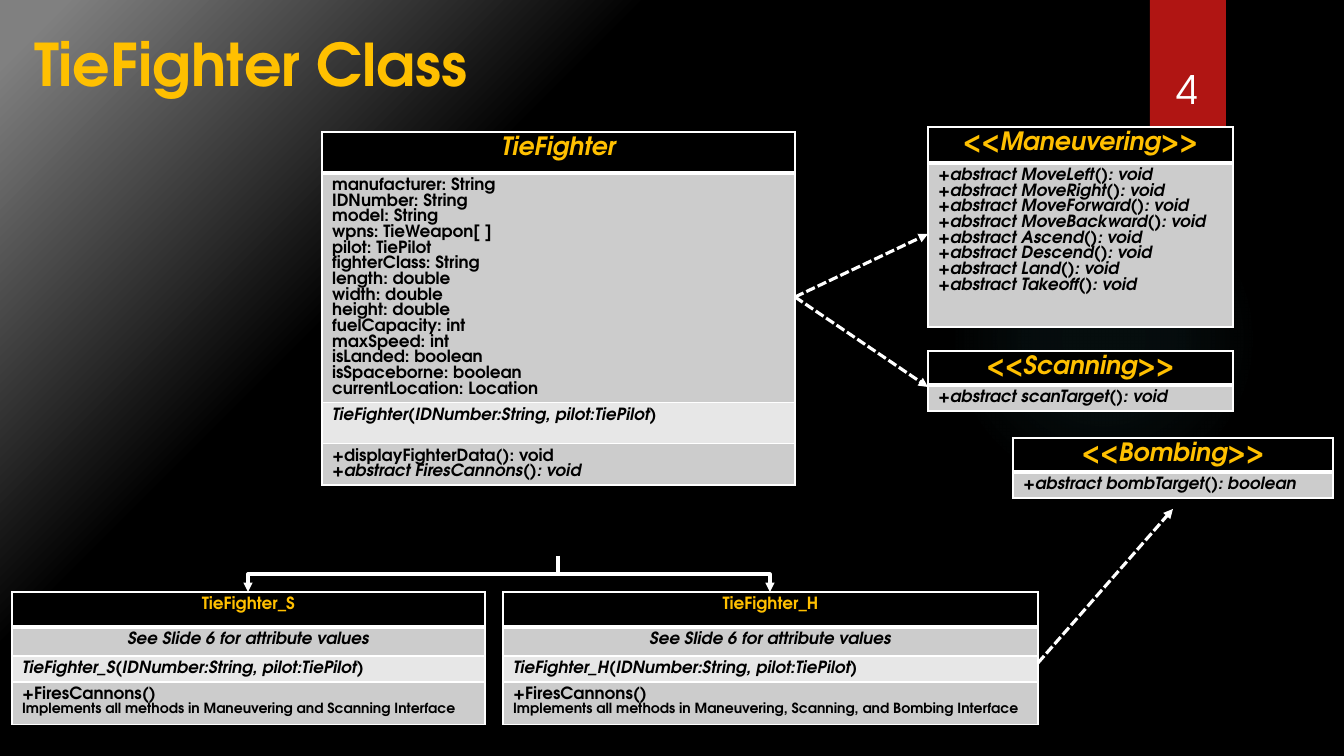
"""Build the TieFighter class diagram slide."""
import pptx
import pptx.dml.color
import pptx.enum.dml
import pptx.enum.shapes
import pptx.enum.text
import pptx.oxml
import pptx.oxml.ns
import pptx.util

PX = 12192000 / 1344
FONT = "TeX Gyre Adventor"
LINE_RATIO = 0.933
BLACK = pptx.dml.color.RGBColor(0x00, 0x00, 0x00)
WHITE = pptx.dml.color.RGBColor(0xFF, 0xFF, 0xFF)
GOLD = pptx.dml.color.RGBColor(0xFF, 0xC0, 0x00)
RED = pptx.dml.color.RGBColor(0xB0, 0x15, 0x13)
GREY = pptx.dml.color.RGBColor(0x80, 0x80, 0x80)
TEAL = pptx.dml.color.RGBColor(0x50, 0xB9, 0xC1)
DARK_BAND = pptx.dml.color.RGBColor(0xCC, 0xCC, 0xCC)
LIGHT_BAND = pptx.dml.color.RGBColor(0xE7, 0xE7, 0xE7)
ALIGN = pptx.enum.text.PP_ALIGN
ANCHOR = pptx.enum.text.MSO_ANCHOR
SHAPE = pptx.enum.shapes.MSO_SHAPE
CONNECTOR = pptx.enum.shapes.MSO_CONNECTOR
NAMESPACE = pptx.oxml.ns.nsdecls("a")


def px(*lengths):
    return [round(length * PX) for length in lengths]


def set_gradient(solid_fill, stops, left, top, right, bottom):
    stop_xml = "".join(
        f'<a:gs pos="{position * 1000}"><a:srgbClr val="{color}">'
        f'<a:alpha val="{alpha * 1000}"/></a:srgbClr></a:gs>'
        for position, color, alpha in stops)
    gradient = pptx.oxml.parse_xml(
        f'<a:gradFill {NAMESPACE} rotWithShape="1"><a:gsLst>{stop_xml}</a:gsLst>'
        f'<a:path path="circle"><a:fillToRect l="{left}" t="{top}" r="{right}" '
        f'b="{bottom}"/></a:path></a:gradFill>')
    solid_fill.getparent().replace(solid_fill, gradient)


presentation = pptx.Presentation()
presentation.slide_width, presentation.slide_height = px(1344, 756)
slide = presentation.slides.add_slide(presentation.slide_layouts[5])
shapes = slide.shapes

slide.background.fill.solid()
set_gradient(slide.element.xpath(".//p:bgPr/a:solidFill")[0],
             [(0, BLACK, 100), (23, BLACK, 100), (69, BLACK, 100), (97, GREY, 100)],
             100000, 100000, 0, 0)

glow = shapes.add_shape(SHAPE.OVAL, *px(949, 184, 310, 310))
ribbon = shapes.add_shape(SHAPE.RECTANGLE, *px(1150, 0, 76, 126))
for shape, color in ((glow, TEAL), (ribbon, RED)):
    shape.shadow.inherit = False
    shape.line.fill.background()
    shape.fill.solid()
    shape.fill.fore_color.rgb = color
set_gradient(glow.element.spPr.xpath("./a:solidFill")[0],
             [(0, TEAL, 7), (36, TEAL, 6), (69, TEAL, 0)], 50000, 50000, 50000, 50000)

title = shapes.title
title.left, title.top, title.width, title.height = px(24, 23, 484, 80)
number = shapes.add_textbox(*px(1141, 32, 93, 85))
for shape, text, size, color, bold, align, anchor in (
        (title, "TieFighter Class", 42, GOLD, True, ALIGN.LEFT, ANCHOR.MIDDLE),
        (number, "4", 28, WHITE, False, ALIGN.CENTER, ANCHOR.BOTTOM)):
    frame = shape.text_frame
    frame.text = text
    frame.word_wrap = True
    frame.auto_size = pptx.enum.text.MSO_AUTO_SIZE.NONE
    frame.vertical_anchor = anchor
    paragraph = frame.paragraphs[0]
    paragraph.alignment = align
    font = paragraph.runs[0].font
    font.name, font.size, font.bold = FONT, pptx.util.Pt(size), bold
    font.color.rgb = color

attributes = [
    "manufacturer: String", "IDNumber: String", "model: String", "wpns: TieWeapon[ ]",
    "pilot: TiePilot", "fighterClass: String", "length: double", "width: double",
    "height: double", "fuelCapacity: int", "maxSpeed: int", "isLanded: boolean",
    "isSpaceborne: boolean", "currentLocation: Location"]
moves = ["MoveLeft", "MoveRight", "MoveForward", "MoveBackward",
         "Ascend", "Descend", "Land", "Takeoff"]

class_boxes = [
    (322, 132, 473, [
        (41, True, [("TieFighter", 18, True)]),
        (229, False, [(attribute, 12, False) for attribute in attributes]),
        (41, False, [("TieFighter(IDNumber:String, pilot:TiePilot)", 12, True)]),
        (41, False, [("+displayFighterData(): void", 12, False),
                     ("+abstract FiresCannons(): void", 12, True)])])]
for name, left, width, interfaces in (
        ("TieFighter_S", 12, 473, "Maneuvering and Scanning Interface"),
        ("TieFighter_H", 503, 535, "Maneuvering, Scanning, and Bombing Interface")):
    class_boxes.append((left, 592, width, [
        (35, True, [(name, 12, False)]),
        (29, True, [("See Slide 6 for attribute values", 12, True)]),
        (26, False, [(f"{name}(IDNumber:String, pilot:TiePilot)", 12, True)]),
        (43, False, [("+FiresCannons()", 12, False),
                     (f"Implements all methods in {interfaces}", 10, False)])]))
for name, left, top, width, heights, methods in (
        ("Maneuvering", 928, 127, 305, (36, 164), [f"{move}(): void" for move in moves]),
        ("Scanning", 928, 351, 305, (34, 26), ["scanTarget(): void"]),
        ("Bombing", 1013, 438, 320, (34, 26), ["bombTarget(): boolean"])):
    class_boxes.append((left, top, width, [
        (heights[0], True, [(f"<<{name}>>", 18, True)]),
        (heights[1], False, [(f"+abstract {method}", 12, True) for method in methods])]))

for left, top, width, rows in class_boxes:
    table_height = sum(row[0] for row in rows)
    table = shapes.add_table(len(rows), 1, *px(left, top, width, table_height)).table
    table.horz_banding = False
    for index, (height, centered, lines) in enumerate(rows):
        table.rows[index].height = px(height)[0]
        cell = table.cell(index, 0)
        cell_properties = cell._tc.get_or_add_tcPr()
        for side in "LRTB":
            thick = (index, side) in ((0, "B"), (1, "T"))
            cell_properties.append(pptx.oxml.parse_xml(
                f'<a:ln{side} {NAMESPACE} w="{38100 if thick else 12700}"><a:solidFill>'
                f'<a:srgbClr val="{WHITE}"/></a:solidFill></a:ln{side}>'))
        cell.fill.solid()
        cell.fill.fore_color.rgb = (BLACK, DARK_BAND, LIGHT_BAND, DARK_BAND)[index]
        cell.text_frame.text = "\n".join(line[0] for line in lines)
        for paragraph, (text, size, italic) in zip(cell.text_frame.paragraphs, lines):
            paragraph.alignment = ALIGN.CENTER if centered else ALIGN.LEFT
            paragraph.line_spacing = pptx.util.Pt(round(size * LINE_RATIO, 1))
            font = paragraph.runs[0].font
            font.name, font.size = FONT, pptx.util.Pt(size)
            font.bold, font.italic = True, italic
            font.color.rgb = BLACK if index else GOLD

arrows = []
for target_x, rotation in ((248, 90), (770, 270)):
    span, drop = abs(target_x - 558), 36
    left = (558 + target_x - drop) / 2
    top = 574 - span / 2
    begin_x, end_x = (left, left + drop) if rotation == 90 else (left + drop, left)
    arrow = shapes.add_connector(CONNECTOR.ELBOW, *px(begin_x, top, end_x, top + span))
    arrow.element.spPr.xfrm.set("rot", str(rotation * 60000))
    arrows.append((arrow, False))
for ends in ((795, 297, 928, 234), (795, 297, 928, 387), (1038, 663, 1173, 509)):
    arrows.append((shapes.add_connector(CONNECTOR.STRAIGHT, *px(*ends)), True))

for arrow, dashed in arrows:
    arrow.line.color.rgb = WHITE
    arrow.line.width = pptx.util.Pt(2.25)
    if dashed:
        arrow.line.dash_style = pptx.enum.dml.MSO_LINE.SQUARE_DOT
    arrow.line._get_or_add_ln().append(
        pptx.oxml.parse_xml(f'<a:tailEnd {NAMESPACE} type="triangle"/>'))
    arrow.element.spPr.append(pptx.oxml.parse_xml(f"<a:effectLst {NAMESPACE}/>"))

presentation.save("out.pptx")
